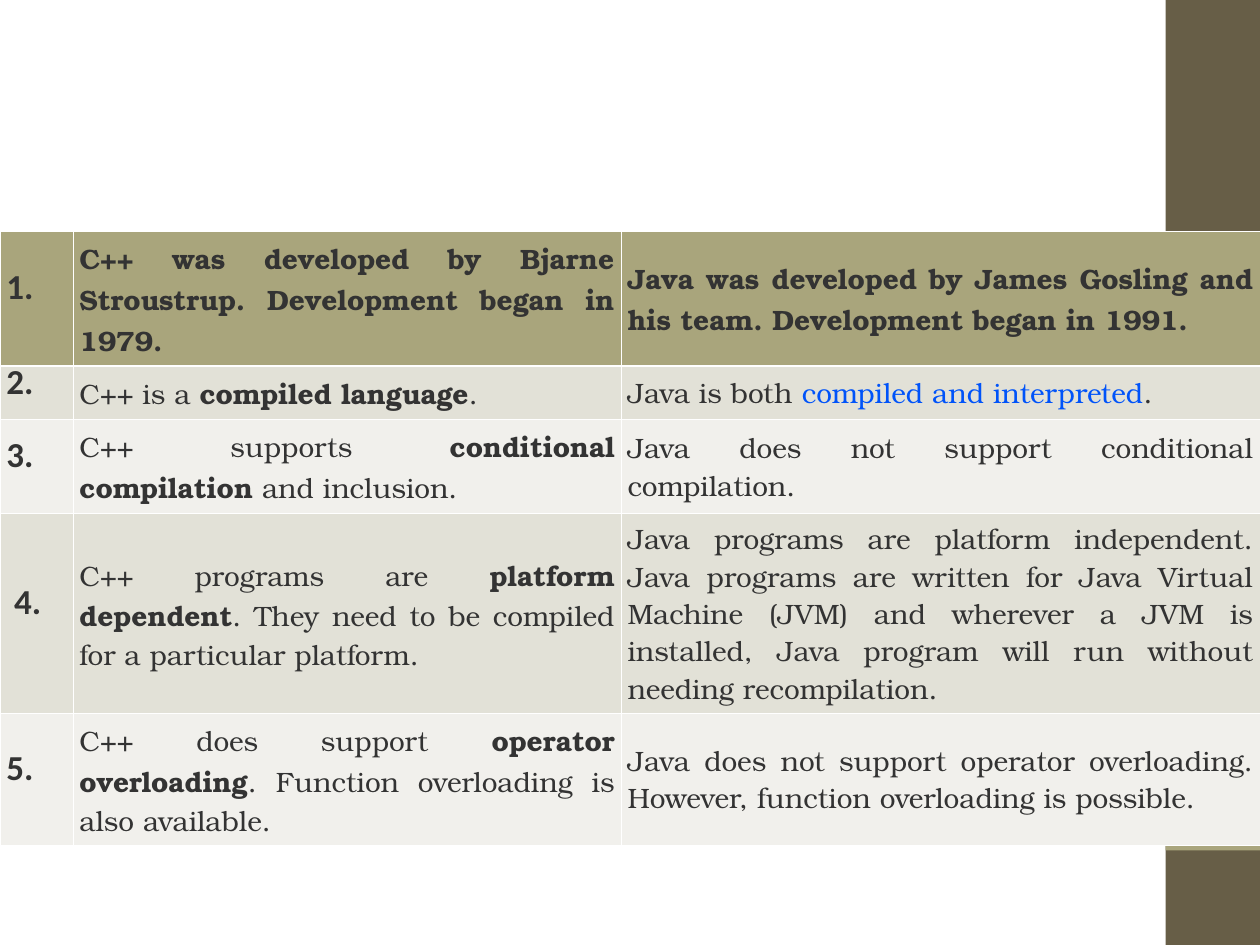
from pptx import Presentation
from pptx.dml.color import RGBColor as RGB
from pptx.enum.shapes import MSO_SHAPE as Shape
from pptx.enum.text import MSO_ANCHOR as Anchor, PP_ALIGN as Align
from pptx.oxml.ns import qn
from pptx.util import Pt
from lxml.etree import SubElement


class Theme:
    band = "675E47"
    accent = "A9A57C"
    odd = "E2E1D7"
    even = "F1F0EC"
    line = "FFFFFF"
    ink = "333333"
    highlight = "0053F9"
    number_font, number_size = "Calibri", Pt(20)
    body_font, body_size = "TeX Gyre Bonum", Pt(16)
    thin, thick = Pt(0.45), Pt(1.47)


def set_borders(cell, top, bottom):
    properties = cell._tc.get_or_add_tcPr()
    sides = (("a:lnL", Theme.thin), ("a:lnR", Theme.thin), ("a:lnT", top), ("a:lnB", bottom))
    for side, width in sides:
        border = SubElement(properties, qn(side), w=str(int(width)))
        fill = SubElement(border, qn("a:solidFill"))
        SubElement(fill, qn("a:srgbClr"), val=Theme.line)


deck = Presentation()
deck.slide_width, deck.slide_height = Pt(720), Pt(540)
page = deck.slides.add_slide(deck.slide_layouts[6])

# Side band with its accent block
for top, height, color in ((0, 540, Theme.band), (432, 54, Theme.accent)):
    block = page.shapes.add_shape(Shape.RECTANGLE, Pt(666), Pt(top), Pt(54), Pt(height))
    block.shadow.inherit = False
    block.fill.solid()
    block.fill.fore_color.rgb = RGB.from_string(color)
    block.line.fill.background()

# Comparison: each cell is a list of (text, style) spans
rows = [
    [[("1.", "bold")],
     [("C++ was developed by Bjarne Stroustrup. Development began in 1979.", "bold")],
     [("Java was developed by James Gosling and his team. Development began in 1991.", "bold")]],
    [[("2.", "bold")],
     [("C++ is a ", ""), ("compiled language", "bold"), (".", "")],
     [("Java is both ", ""), ("compiled and interpreted", "highlight"), (".", "")]],
    [[("3.", "bold")],
     [("C++ supports ", ""), ("conditional compilation", "bold"), (" and inclusion.", "")],
     [("Java does not support conditional compilation.", "")]],
    [[(" 4.", "bold")],
     [("C++ programs are ", ""), ("platform dependent", "bold"),
      (". They need to be compiled for a particular platform.", "")],
     [("Java programs are platform independent. Java programs are written for Java Virtual "
       "Machine (JVM) and wherever a JVM is installed, Java program will run without "
       "needing recompilation.", "")]],
    [[("5.", "bold")],
     [("C++ does support ", ""), ("operator overloading", "bold"),
      (". Function overloading is also available.", "")],
     [("Java does not support operator overloading. However, function overloading is possible.",
       "")]],
]
column_widths = (41.8, 313.2, 365)
row_heights = (66.2, 29.5, 46.8, 105.1, 66.2)

# Table grid
table = page.shapes.add_table(len(rows), len(column_widths), Pt(0), Pt(132),
                              Pt(sum(column_widths)), Pt(sum(row_heights))).table
for column, width in zip(table.columns, column_widths):
    column.width = Pt(width)
for row, height in zip(table.rows, row_heights):
    row.height = Pt(height)

# Cells
for row_index, row in enumerate(rows):
    if row_index == 0:
        row_color = Theme.accent
    else:
        row_color = Theme.odd if row_index % 2 else Theme.even
    for column_index, spans in enumerate(row):
        cell = table.cell(row_index, column_index)
        set_borders(cell,
                    Theme.thick if row_index == 1 else Theme.thin,
                    Theme.thick if row_index == 0 else Theme.thin)
        cell.fill.solid()
        cell.fill.fore_color.rgb = RGB.from_string(row_color)
        cell.vertical_anchor = Anchor.MIDDLE
        cell.margin_left = cell.margin_right = Pt(3.6)
        cell.margin_top = cell.margin_bottom = Pt(3.6)

        para = cell.text_frame.paragraphs[0]
        para.space_after = Pt(25)
        if column_index == 0:
            para.line_spacing = Pt(12.5)
            para.font.name, para.font.size = Theme.number_font, Theme.number_size
        else:
            para.alignment = Align.JUSTIFY
            para.font.name, para.font.size = Theme.body_font, Theme.body_size
        for text, style in spans:
            span = para.add_run()
            span.text = text
            span.font.bold = style == "bold"
            color = Theme.highlight if style == "highlight" else Theme.ink
            span.font.color.rgb = RGB.from_string(color)

deck.save("out.pptx")
